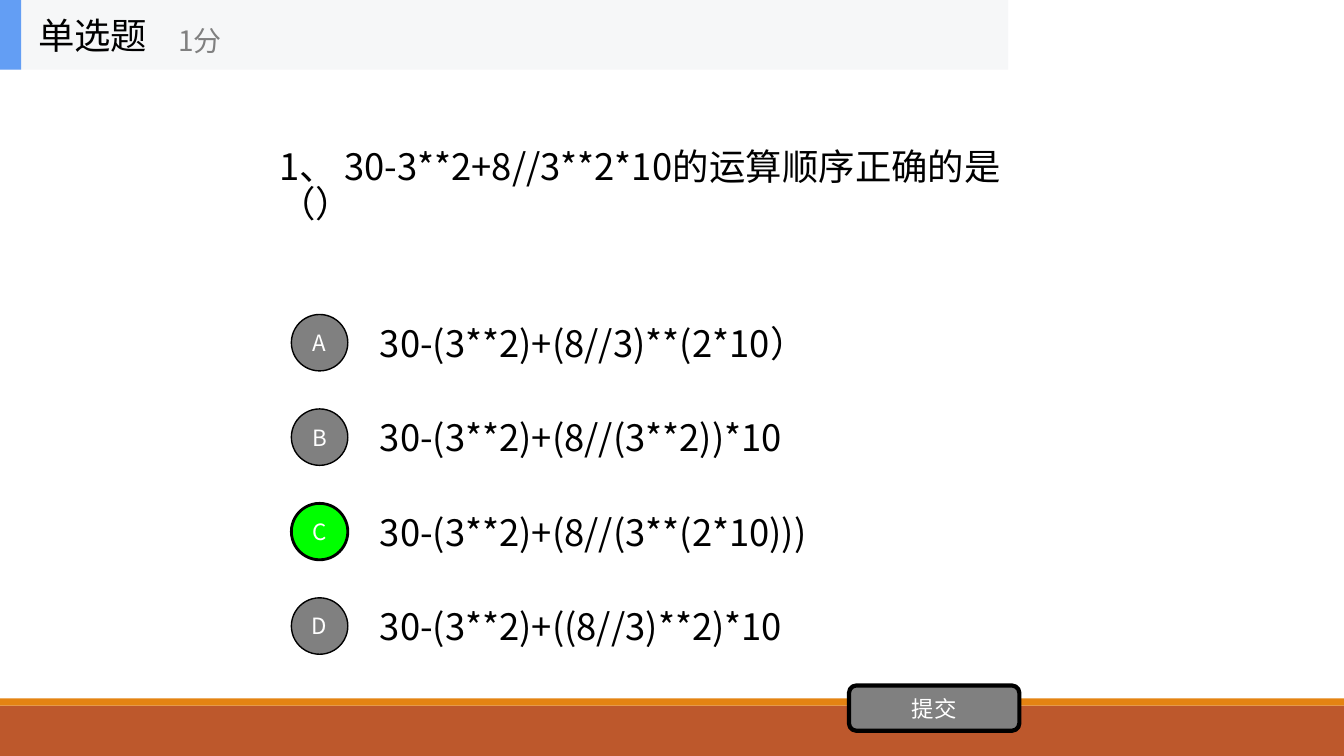
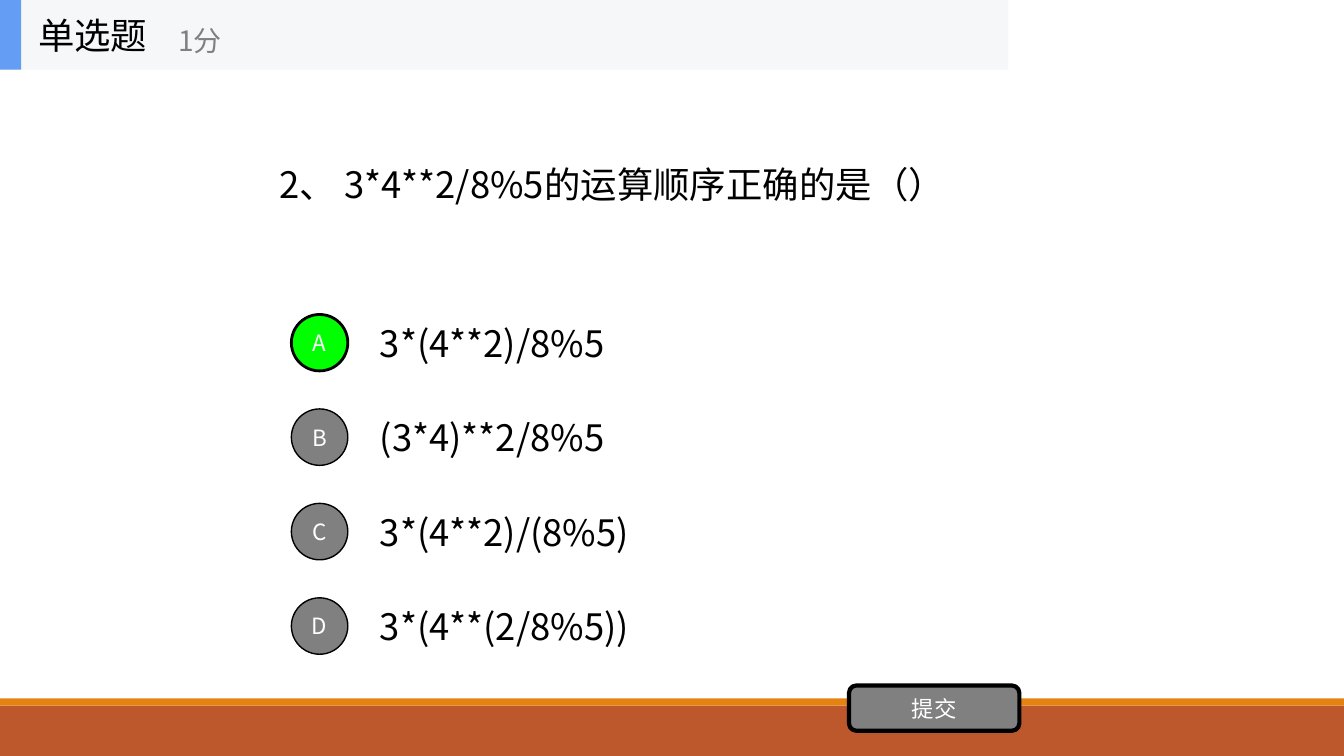
"""Build two single-choice quiz slides on operator precedence."""
from dataclasses import dataclass
from typing import Any

import lxml.etree
import pptx
import pptx.dml.color
import pptx.enum.shapes
import pptx.enum.text
import pptx.oxml.ns
import pptx.util

Inches = pptx.util.Inches
Shape = pptx.enum.shapes.MSO_SHAPE
Align = pptx.enum.text.PP_ALIGN

FONT = "Noto Sans CJK SC"
BLACK, WHITE, GREY, GREEN = "000000", "FFFFFF", "808080", "00FF00"
BROWN, ORANGE, PALE, BLUE = "BD582C", "E48312", "F6F7F8", "639EF4"
OPTION_TOP, OPTION_HEIGHT, OPTION_PITCH = 3.05, 0.7, 0.937
BADGE_SIZE = 0.56


@dataclass(frozen=True)
class Box:
    """Position and size in inches."""
    left: float
    top: float
    width: float
    height: float

    def lengths(self) -> tuple:
        """Return the four values as lengths."""
        return tuple(Inches(v) for v in (self.left, self.top, self.width, self.height))


@dataclass(frozen=True)
class Question:
    """A prompt, its options and the letter of the right one."""
    prompt: str
    options: tuple[str, ...]
    answer: str


QUESTIONS = (
    Question(
        "1、 30-3**2+8//3**2*10的运算顺序正确的是（）",
        (
            "30-(3**2)+(8//3)**(2*10）",
            "30-(3**2)+(8//(3**2))*10",
            "30-(3**2)+(8//(3**(2*10)))",
            "30-(3**2)+((8//3)**2)*10",
        ),
        "C",
    ),
    Question(
        "2、 3*4**2/8%5的运算顺序正确的是（）",
        ("3*(4**2)/8%5", "(3*4)**2/8%5", "3*(4**2)/(8%5)", "3*(4**(2/8%5))"),
        "A",
    ),
)


def rgb(value: str) -> pptx.dml.color.RGBColor:
    """Turn a hex string into a colour."""
    return pptx.dml.color.RGBColor.from_string(value)


def write(shape: Any, text: str, size: float, color: str, align: Any = Align.LEFT) -> None:
    """Put one formatted, vertically centred paragraph into a shape."""
    frame = shape.text_frame
    frame.text = text
    frame.word_wrap = True
    frame.auto_size = pptx.enum.text.MSO_AUTO_SIZE.NONE
    frame.vertical_anchor = pptx.enum.text.MSO_ANCHOR.MIDDLE
    paragraph = frame.paragraphs[0]
    paragraph.alignment = align
    for run in paragraph.runs:
        run.font.size = pptx.util.Pt(size)
        run.font.color.rgb = rgb(color)
        run.font.name = FONT
        east_asian = lxml.etree.SubElement(run.font._element, pptx.oxml.ns.qn("a:ea"))
        east_asian.set("typeface", FONT)


def add_label(shapes: Any, box: Box, text: str, size: float, color: str = BLACK) -> None:
    """Add a text box."""
    write(shapes.add_textbox(*box.lengths()), text, size, color)


def add_panel(shapes: Any, kind: Any, box: Box, fill: str, line_width: float = 0) -> Any:
    """Add a filled shape, with a black outline if a width is given."""
    panel = shapes.add_shape(kind, *box.lengths())
    panel.shadow.inherit = False
    panel.fill.solid()
    panel.fill.fore_color.rgb = rgb(fill)
    if line_width:
        panel.line.color.rgb = rgb(BLACK)
        panel.line.width = pptx.util.Pt(line_width)
    else:
        panel.line.fill.background()
    return panel


def add_frame(shapes: Any) -> None:
    """Draw the header, footer bands and submit button of a quiz slide."""
    add_panel(shapes, Shape.RECTANGLE, Box(0, 7, 13.33, 0.5), BROWN)
    add_panel(shapes, Shape.RECTANGLE, Box(0, 6.93, 13.33, 0.07), ORANGE)
    submit = add_panel(shapes, Shape.ROUNDED_RECTANGLE, Box(8.42, 6.8, 1.69, 0.45), GREY, 3)
    write(submit, "提交", 16, WHITE, Align.CENTER)
    header = shapes.add_group_shape().shapes
    add_panel(header, Shape.RECTANGLE, Box(0, 0, 10, 0.69), PALE)
    add_panel(header, Shape.RECTANGLE, Box(0, 0, 0.21, 0.69), BLUE)
    add_label(header, Box(0.28, 0, 2.08, 0.69), "单选题", 26)
    add_label(header, Box(1.67, 0.12, 2.5, 0.56), "1分", 20, GREY)


def add_option(shapes: Any, index: int, text: str, answer: str) -> None:
    """Draw one lettered option, green if it is the answer."""
    letter = "ABCD"[index]
    correct = letter == answer
    top = OPTION_TOP + index * OPTION_PITCH
    add_label(shapes, Box(3.67, top, 7, OPTION_HEIGHT), text, 26)
    badge_box = Box(2.89, top + (OPTION_HEIGHT - BADGE_SIZE) / 2, BADGE_SIZE, BADGE_SIZE)
    badge = add_panel(
        shapes, Shape.OVAL, badge_box, GREEN if correct else GREY, 2 if correct else 1
    )
    write(badge, letter, 16, WHITE, Align.CENTER)


def add_question(deck: Any, question: Question) -> None:
    """Add the slide of one question."""
    slide = deck.slides.add_slide(deck.slide_layouts[5])
    prompt = slide.shapes.title
    prompt.left, prompt.top, prompt.width, prompt.height = Box(2.67, 0.69, 8, 2.34).lengths()
    write(prompt, question.prompt, 26, BLACK)
    prompt.text_frame.paragraphs[0].line_spacing = 0.85
    add_frame(slide.shapes)
    for index, text in enumerate(question.options):
        add_option(slide.shapes, index, text, question.answer)


def main() -> None:
    """Build and save the deck."""
    deck = pptx.Presentation()
    deck.slide_width, deck.slide_height = Inches(13.33), Inches(7.5)
    for question in QUESTIONS:
        add_question(deck, question)
    deck.save("out.pptx")


if __name__ == "__main__":
    main()
